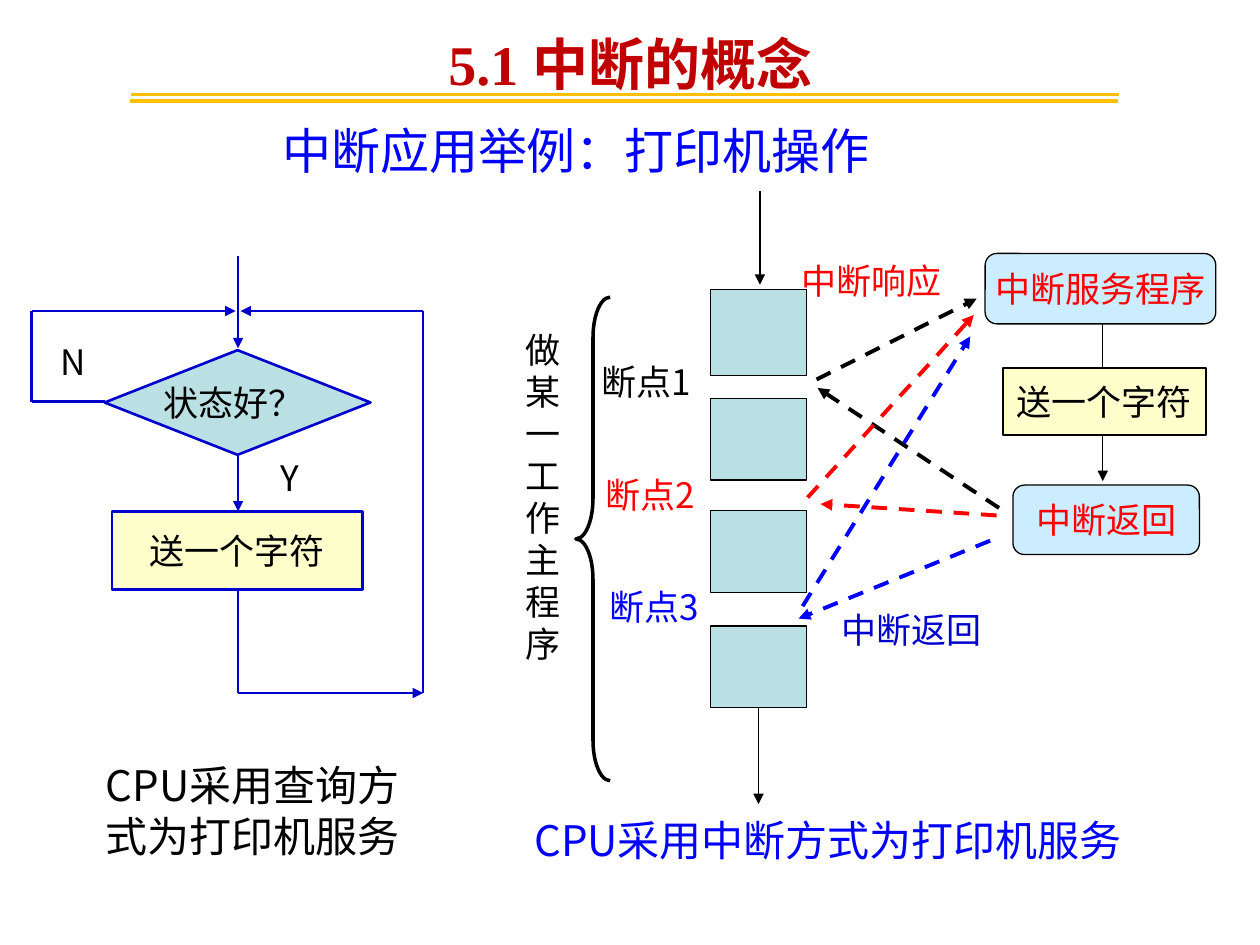
from dataclasses import dataclass

from lxml.etree import SubElement
from pptx import Presentation
from pptx.dml.color import RGBColor
from pptx.enum.dml import MSO_LINE_DASH_STYLE as Dash
from pptx.enum.shapes import MSO_CONNECTOR as Connector, MSO_SHAPE as Shape
from pptx.enum.text import MSO_ANCHOR as Anchor, PP_ALIGN as Align
from pptx.oxml.ns import qn
from pptx.util import Cm, Pt


@dataclass(frozen=True)
class Theme:
    black: str = "000000"
    red: str = "FF0000"
    blue: str = "0000FF"
    navy: str = "0000CC"
    crimson: str = "C00000"
    gold: str = "FFC000"
    teal: str = "BBE0E3"
    cream: str = "FFFFCC"
    sky: str = "CCECFF"
    sans: str = "Noto Sans CJK SC"
    serif: str = "Times New Roman"
    title: int = 32
    subtitle: int = 28
    caption: int = 24
    label: int = 20


THEME = Theme()


@dataclass(frozen=True)
class Region:
    """A part of the page; all places inside it are in cm from its corner."""
    page: object
    left: float
    top: float

    def place(self, x, y):
        return Cm(self.left + x), Cm(self.top + y)


def write(frame, lines, color, size=THEME.label, font=THEME.sans, bold=False,
          align=Align.LEFT, spacing=None, anchor=Anchor.TOP, inset=0.25, wrap=True):
    frame.word_wrap = wrap
    frame.vertical_anchor = anchor
    frame.margin_left = frame.margin_right = Cm(inset)
    frame.margin_top = frame.margin_bottom = Cm(0.13)
    for index, line in enumerate(lines):
        para = frame.add_paragraph() if index else frame.paragraphs[0]
        para.alignment = align
        if spacing:
            para.line_spacing = spacing
        span = para.add_run()
        span.text = line
        span.font.size = Pt(size)
        span.font.bold = bold
        span.font.name = font
        span.font.color.rgb = RGBColor.from_string(color)
        SubElement(span.font._element, qn("a:ea"), typeface=THEME.sans)


def add_text(region, x, y, width, height, lines, color, **style):
    box = region.page.shapes.add_textbox(*region.place(x, y), Cm(width), Cm(height))
    write(box.text_frame, lines, color, **style)


def add_node(region, kind, x, y, width, height, fill=None, line=THEME.black,
             weight=0.75, text=None, color=THEME.black, inset=0):
    node = region.page.shapes.add_shape(kind, *region.place(x, y), Cm(width), Cm(height))
    node.shadow.inherit = False
    if fill:
        node.fill.solid()
        node.fill.fore_color.rgb = RGBColor.from_string(fill)
    else:
        node.fill.background()
    node.line.color.rgb = RGBColor.from_string(line)
    node.line.width = Pt(weight)
    if text:
        write(node.text_frame, [text], color, align=Align.CENTER,
              anchor=Anchor.MIDDLE, inset=inset, wrap=False)
    return node


def add_line(region, start, end, color=THEME.black, weight=0.75, arrow=False, dashed=False):
    line = region.page.shapes.add_connector(
        Connector.STRAIGHT, *region.place(*start), *region.place(*end))
    line.line.color.rgb = RGBColor.from_string(color)
    line.line.width = Pt(weight)
    if dashed:
        line.line.dash_style = Dash.DASH
    if arrow:
        SubElement(line.line._get_or_add_ln(), qn("a:tailEnd"), type="triangle")
    SubElement(line._element.spPr, qn("a:effectLst"))


def draw_header(region):
    add_line(region, (2.62, 2.03), (22.53, 2.03), THEME.gold, 2.25)
    add_line(region, (2.64, 1.9), (22.56, 1.9), THEME.gold, 1.5)
    add_text(region, 8.79, 0.13, 8.79, 1.96, ["5.1 中断的概念"], THEME.crimson,
             size=THEME.title, font=THEME.serif, bold=True, spacing=1.25, wrap=False)
    add_text(region, 0.18, 2.11, 22.86, 1.83, ["中断应用举例：打印机操作"], THEME.blue,
             size=THEME.subtitle, align=Align.CENTER, anchor=Anchor.MIDDLE)


def draw_polling(region):
    """Flow chart in which the processor keeps asking for the printer's state."""
    middle, right, join, decision, bottom = 4.16, 7.89, 1.11, 2.94, 8.81
    add_node(region, Shape.FLOWCHART_DECISION, 1.47, 1.9, 5.36, 2.11, THEME.teal,
             THEME.navy, 1.5, "状态好？ ", inset=0.25)
    add_node(region, Shape.FLOWCHART_PROCESS, 1.62, 5.15, 5.05, 1.57, THEME.cream,
             THEME.navy, 1.5, "送一个字符", inset=0.25)
    for start, end, arrow in (
        ((middle, 0), (middle, 1.86), True),
        ((middle, 4.01), (middle, 5.15), True),
        ((1.47, decision), (0, decision), False),
        ((0, decision), (0, join), False),
        ((0, join), (middle - 0.05, join), True),
        ((middle, 6.72), (middle, bottom), False),
        ((middle, bottom), (right, bottom), True),
        ((right, bottom), (right, join), False),
        ((right, join), (middle + 0.05, join), True),
    ):
        add_line(region, start, end, THEME.navy, 1.5, arrow)
    for answer, x, y in (("N", 0.33, 1.57), ("Y", 4.77, 3.91)):
        add_text(region, x, y, 1.47, 1.09, [answer], THEME.black)
    add_text(region, 1.24, 10.03, 7.21, 2.31, ["CPU采用查询方式为打印机服务"],
             THEME.black, size=THEME.caption)


def draw_main_program(region):
    for y, height in ((1.98, 1.73), (4.17, 1.65), (6.43, 1.65), (8.76, 1.65)):
        add_node(region, Shape.FLOWCHART_PROCESS, 4.04, y, 1.93, height, THEME.teal)
    add_line(region, (5.03, 0), (5.03, 1.88), arrow=True)
    add_line(region, (5.0, 10.41), (5.0, 12.35), arrow=True)
    brace = add_node(region, Shape.LEFT_BRACE, 1.32, 2.13, 0.69, 9.75, weight=2)
    brace.adjustments[0], brace.adjustments[1] = 1.18, 0.5
    add_text(region, 0, 2.64, 1.3, 7.04, ["做某一", "工作主程序"], THEME.black,
             align=Align.CENTER, inset=0)
    for index, color in enumerate((THEME.black, THEME.red, THEME.blue)):
        add_text(region, 1.83 + 0.08 * index, 3.28 + 2.27 * index, 2.46, 1.09,
                 [f"断点{index + 1}"], color, inset=0)
    add_text(region, 0.48, 12.7, 12.73, 0.99, ["CPU采用中断方式为打印机服务"], THEME.blue,
             size=THEME.caption, spacing=0.7, inset=0)


def draw_service_routine(region):
    add_line(region, (2.37, 1.42), (2.37, 4.59), arrow=True)
    rounded, plain = Shape.FLOWCHART_ALTERNATE_PROCESS, Shape.FLOWCHART_PROCESS
    for kind, x, y, width, height, fill, text, color in (
        (rounded, 0, 0, 4.65, 1.42, THEME.sky, "中断服务程序", THEME.red),
        (plain, 0.36, 2.31, 4.09, 1.35, THEME.cream, "送一个字符", THEME.black),
        (rounded, 0.56, 4.67, 3.76, 1.4, THEME.sky, "中断返回", THEME.red),
    ):
        add_node(region, kind, x, y, width, height, fill, text=text, color=color)


def draw_transfers(region):
    """Dashed arrows to the service routine and back, one colour per break point."""
    for color, call, back in (
        (THEME.black, ((6.17, 3.79), (9.4, 2.16)), ((9.85, 6.38), (6.19, 3.96))),
        (THEME.red, ((5.99, 6.17), (9.34, 2.49)), ((9.8, 6.53), (6.25, 6.3))),
        (THEME.blue, ((5.89, 8.36), (9.27, 2.92)), ((9.67, 7.04), (5.81, 8.61))),
    ):
        for start, end in (call, back):
            add_line(region, start, end, color, 2.25, arrow=True, dashed=True)
    for text, x, y, color in (("中断响应", 5.86, 1.25, THEME.red),
                              ("中断返回", 6.68, 8.28, THEME.navy)):
        add_text(region, x, y, 3.56, 1.09, [text], color, inset=0)


def main():
    deck = Presentation()
    deck.slide_width, deck.slide_height = Cm(25.4), Cm(19.05)
    page = deck.slides.add_slide(deck.slide_layouts[6])
    draw_header(Region(page, 0, 0))
    draw_polling(Region(page, 0.64, 5.16))
    interrupt = Region(page, 10.29, 3.86)
    draw_main_program(interrupt)
    draw_service_routine(Region(page, 19.86, 5.11))
    draw_transfers(interrupt)
    deck.save("out.pptx")


if __name__ == "__main__":
    main()
